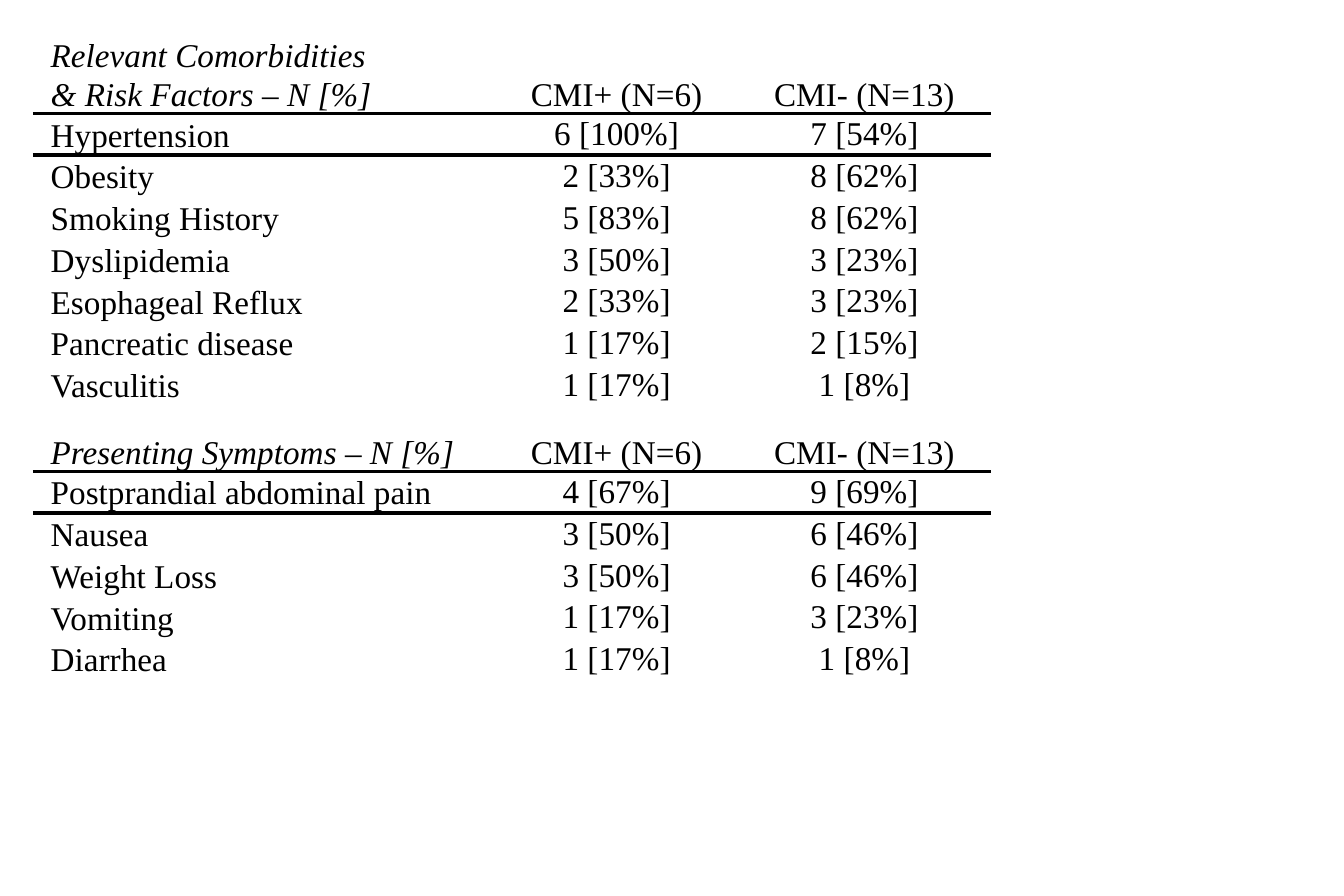
from lxml import etree
from pptx import Presentation
from pptx.dml.color import RGBColor
from pptx.enum.text import MSO_ANCHOR, PP_ALIGN
from pptx.oxml.ns import qn
from pptx.util import Inches, Pt

BLACK = RGBColor(0, 0, 0)
NO_STYLE = "{2D5ABB26-0587-4C30-8999-92F81FD0307C}"
COLUMN_WIDTHS = (1.55, 0.81, 0.85)
ROW_HEIGHT = 0.14
GROUPS = ("CMI+ (N=6)", "CMI- (N=13)")

# Each section: heading, heading height, rows of (label, CMI+, CMI-)
SECTIONS = [
    ("Relevant Comorbidities\n& Risk Factors – N [%]", 0.3, [
        ("Hypertension", "6 [100%]", "7 [54%]"),
        ("Obesity", "2 [33%]", "8 [62%]"),
        ("Smoking History", "5 [83%]", "8 [62%]"),
        ("Dyslipidemia", "3 [50%]", "3 [23%]"),
        ("Esophageal Reflux", "2 [33%]", "3 [23%]"),
        ("Pancreatic disease", "1 [17%]", "2 [15%]"),
        ("Vasculitis", "1 [17%]", "1 [8%]"),
    ]),
    ("Presenting Symptoms – N [%]", 0.22, [
        ("Postprandial abdominal pain", "4 [67%]", "9 [69%]"),
        ("Nausea", "3 [50%]", "6 [46%]"),
        ("Weight Loss", "3 [50%]", "6 [46%]"),
        ("Vomiting", "1 [17%]", "3 [23%]"),
        ("Diarrhea", "1 [17%]", "1 [8%]"),
    ]),
]


class TableSlide:
    """Holds the text style and the current slide."""

    font, size, spacing, rule_width = "Times New Roman", Pt(8), 1.07, Pt(1)

    def __init__(self, slide):
        """Keep the slide to draw on."""
        self.slide = slide

    def rule(self, cell, tag):
        """Draw one border of a cell: a:lnT or a:lnB."""
        line = etree.Element(qn(tag), w=str(int(self.rule_width)))
        fill = etree.SubElement(line, qn("a:solidFill"))
        etree.SubElement(fill, qn("a:srgbClr"), val=str(BLACK))
        cell._tc.get_or_add_tcPr().insert(0, line)

    def cell(self, cell, text, anchor, align, italic):
        """Fill one cell with styled text."""
        cell.fill.background()
        cell.margin_left = cell.margin_right = Inches(0.06)
        cell.margin_top = cell.margin_bottom = 0
        cell.vertical_anchor = anchor
        cell.text_frame.text = text
        for paragraph in cell.text_frame.paragraphs:
            paragraph.alignment = align
            paragraph.line_spacing = self.spacing
            for run in paragraph.runs:
                run.font.name, run.font.size = self.font, self.size
                run.font.italic = italic
                run.font.color.rgb = BLACK

    def table(self, left, top, sections):
        """Add one table holding all sections, each under a ruled heading."""
        rows = []
        for heading, height, entries in sections:
            rows.append(((heading, *GROUPS), height, "heading"))
            for i, entry in enumerate(entries):
                rows.append((entry, ROW_HEIGHT, "body" if i else "first"))
        frame = self.slide.shapes.add_table(
            len(rows), len(COLUMN_WIDTHS), Inches(left), Inches(top),
            Inches(sum(COLUMN_WIDTHS)), Inches(sum(row[1] for row in rows)))
        table = frame.table
        table.first_row = table.horz_banding = False
        table._tbl.tblPr.find(qn("a:tableStyleId")).text = NO_STYLE
        for column, width in zip(table.columns, COLUMN_WIDTHS):
            column.width = Inches(width)
        for r, (texts, height, kind) in enumerate(rows):
            table.rows[r].height = Inches(height)
            for c, text in enumerate(texts):
                cell = table.cell(r, c)
                if kind == "heading":
                    anchor = MSO_ANCHOR.BOTTOM
                else:
                    anchor = MSO_ANCHOR.TOP if c else MSO_ANCHOR.MIDDLE
                align = PP_ALIGN.CENTER if c else PP_ALIGN.LEFT
                self.cell(cell, text, anchor, align, kind == "heading" and c == 0)
                if kind != "body":
                    self.rule(cell, "a:lnB" if kind == "heading" else "a:lnT")


prs = Presentation()
prs.slide_width, prs.slide_height = Inches(4.5), Inches(3)
page = TableSlide(prs.slides.add_slide(prs.slide_layouts[6]))
page.table(0.11, 0.08, SECTIONS)
prs.save("out.pptx")
